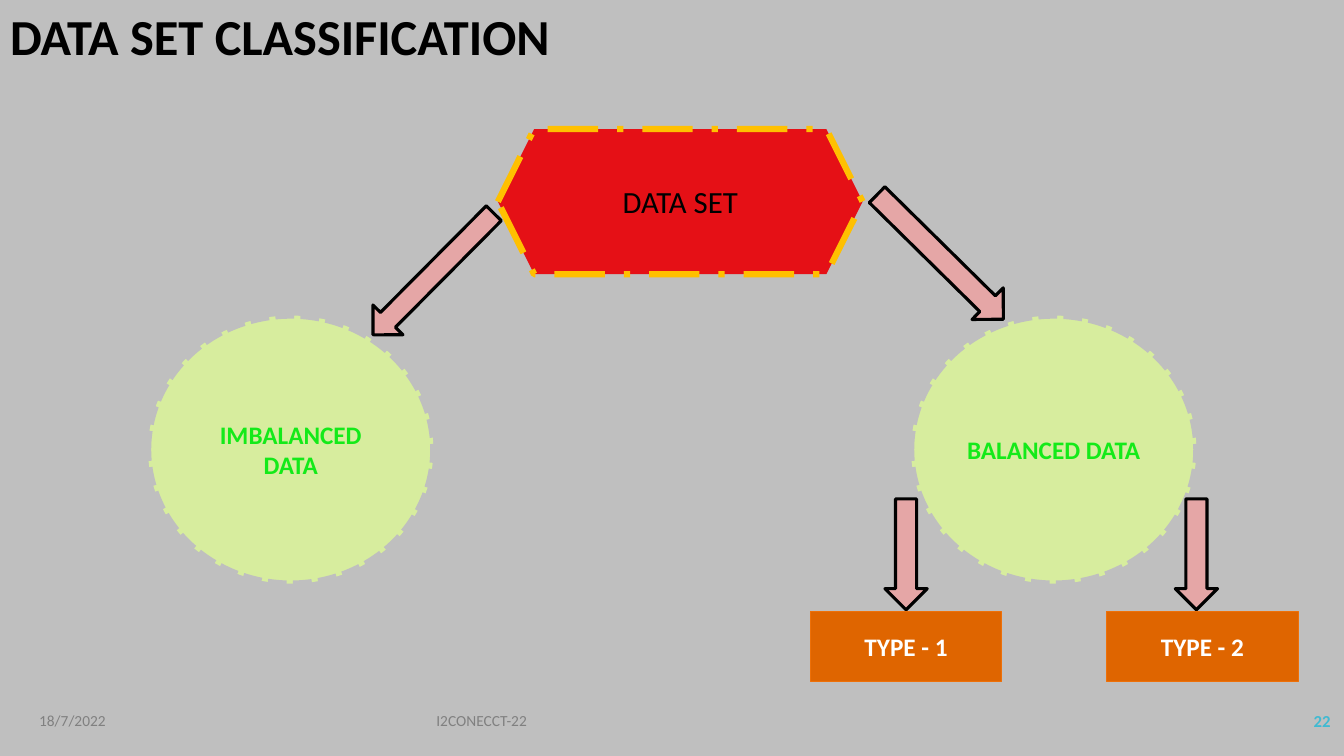
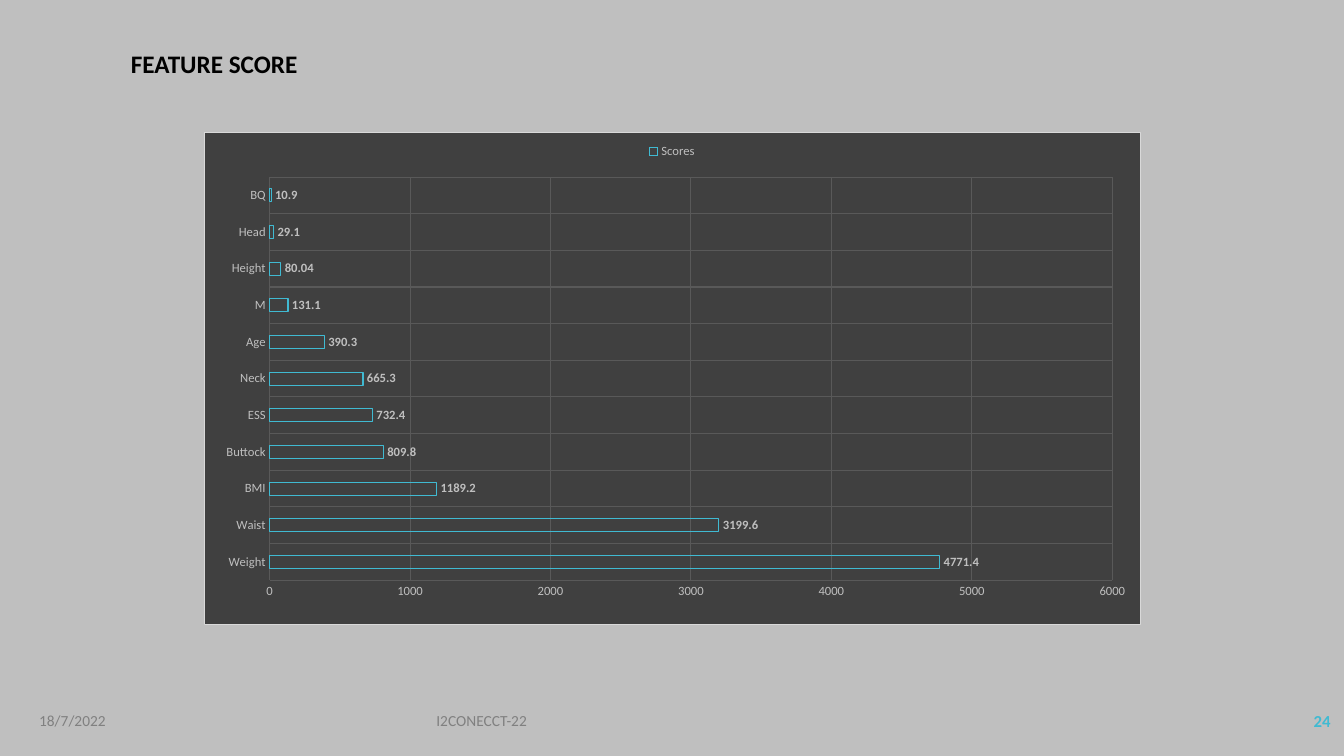
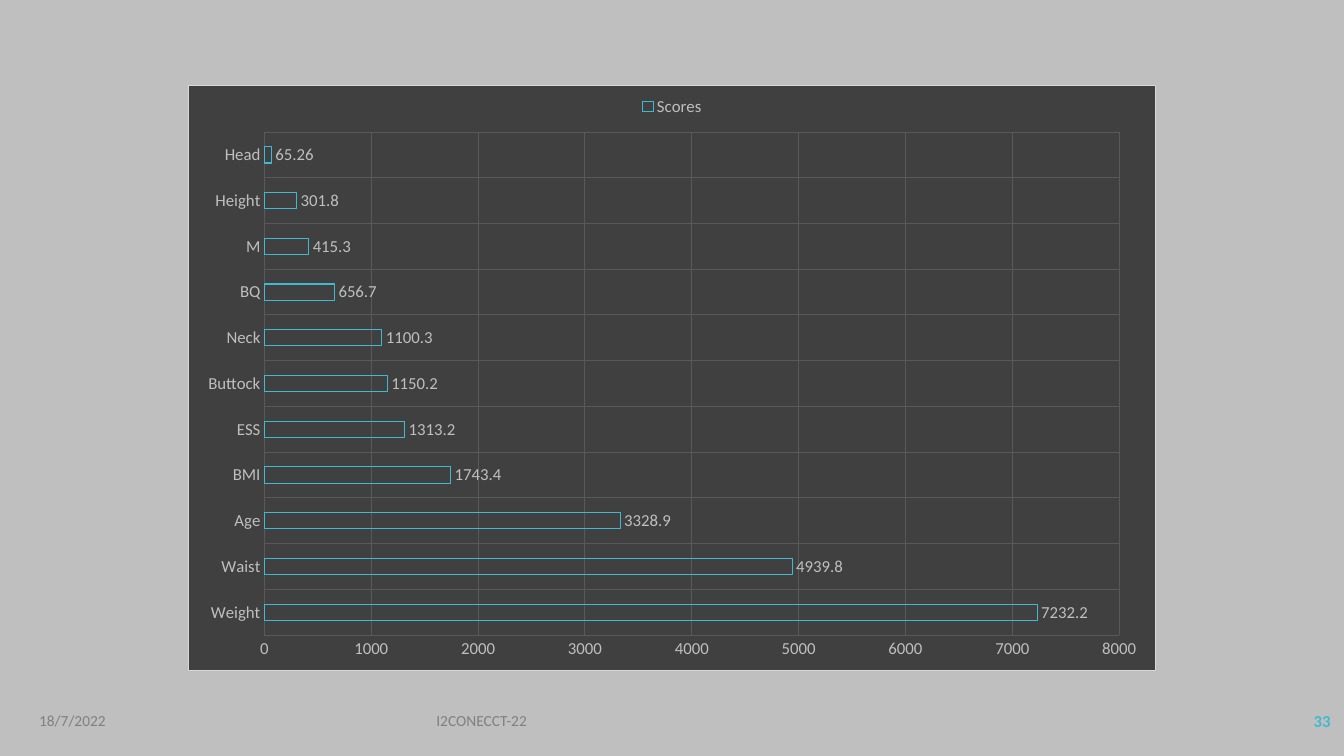
from lxml import etree
from pptx import Presentation
from pptx.chart.data import CategoryChartData
from pptx.dml.color import RGBColor
from pptx.enum.chart import XL_CHART_TYPE, XL_LABEL_POSITION, XL_LEGEND_POSITION, XL_TICK_MARK
from pptx.enum.dml import MSO_LINE
from pptx.enum.shapes import MSO_SHAPE
from pptx.enum.text import MSO_ANCHOR, MSO_AUTO_SIZE, PP_ALIGN
from pptx.oxml import parse_xml
from pptx.oxml.ns import nsdecls, qn
from pptx.util import Pt

BAR = XL_CHART_TYPE.BAR_CLUSTERED
OUTSIDE_END = XL_LABEL_POSITION.OUTSIDE_END
LEGEND_TOP = XL_LEGEND_POSITION.TOP
NO_TICK = XL_TICK_MARK.NONE
LONG_DASH_DOT, SQUARE_DOT = MSO_LINE.LONG_DASH_DOT, MSO_LINE.SQUARE_DOT
HEXAGON, ELLIPSE = MSO_SHAPE.HEXAGON, MSO_SHAPE.OVAL
RECT, ARROW = MSO_SHAPE.RECTANGLE, MSO_SHAPE.DOWN_ARROW
TOP, MIDDLE = MSO_ANCHOR.TOP, MSO_ANCHOR.MIDDLE
LEFT, CENTER, RIGHT = PP_ALIGN.LEFT, PP_ALIGN.CENTER, PP_ALIGN.RIGHT
NO_AUTOFIT = MSO_AUTO_SIZE.NONE

FONT = "Calibri"
COLORS = {
    "background": "BFBFBF", "black": "000000", "white": "FFFFFF",
    "footer": "808080", "accent": "40BAD2",
    "red": "E51016", "gold": "FFC000", "pink": "E5A6A6",
    "lime": "D7ED9E", "green": "14EA19",
    "orange": "DF6500", "orange_edge": "EE7008",
    "panel": "404040", "panel_edge": "D9D9D9",
    "grid": "595959", "chart_text": "BFBFBF",
}
TITLE_ONLY, BLANK = 5, 6


def rgb(name):
    return RGBColor.from_string(COLORS[name])


def set_font(font, size, color, bold=False):
    font.name, font.size, font.bold = FONT, Pt(size), bold
    font.color.rgb = rgb(color)


def set_line(line, color, width):
    line.color.rgb = rgb(color)
    line.width = Pt(width)


def write(sp, text, size, color, bold=False, align=CENTER, anchor=MIDDLE):
    tf = sp.text_frame
    tf.word_wrap = True
    tf.auto_size = NO_AUTOFIT
    tf.vertical_anchor = anchor
    p = tf.paragraphs[0]
    p.text = text
    p.alignment = align
    set_font(p.font, size, color, bold)


# Parts shared by the slides
def add_footer(slide, number):
    for x, w, text, size, color, bold, align in (
        (20.9, 216, "18/7/2022", 11, "footer", False, LEFT),
        (304.6, 465, "I2CONECCT-22", 11, "footer", False, LEFT),
        (837.4, 120.2, str(number), 12, "accent", True, RIGHT),
    ):
        sp = slide.shapes.add_textbox(Pt(x), Pt(500.4), Pt(w), Pt(28.8))
        write(sp, text, size, color, bold, align)


def add_slide(prs, layout, number):
    slide = prs.slides.add_slide(prs.slide_layouts[layout])
    add_footer(slide, number)
    return slide


def set_title(slide, text, box, size, align):
    sp = slide.shapes.title
    sp.left, sp.top, sp.width, sp.height = map(Pt, box)
    write(sp, text, size, "black", True, align, TOP)


# Classification diagram
def add_block(slide, kind, box, fill, edge, width, dash=None):
    sp = slide.shapes.add_shape(kind, *map(Pt, box))
    sp.shadow.inherit = False
    sp.fill.solid()
    sp.fill.fore_color.rgb = rgb(fill)
    set_line(sp.line, edge, width)
    if dash:
        sp.line.dash_style = dash
    return sp


def add_arrow(slide, box, rotation=0):
    sp = add_block(slide, ARROW, box, "pink", "black", 2.25)
    sp.rotation = rotation


def add_diagram(slide, x, y):
    root = add_block(slide, HEXAGON, (x + 249.8, y, 260.6, 103.7),
                     "red", "gold", 4.5, LONG_DASH_DOT)
    write(root, "DATA SET", 22, "black")

    add_arrow(slide, (x + 188.7, y + 42.4, 30.2, 122.4), 44.8)
    for i, text in enumerate(("IMBALANCED DATA", "BALANCED DATA")):
        sp = add_block(slide, ELLIPSE, (x + 545 * i, y + 133.2, 203.8, 191.5),
                       "lime", "background", 4.5, SQUARE_DOT)
        write(sp, text, 18, "green", True)
    add_arrow(slide, (x + 550, y + 28, 31.7, 126.7), 314.6)

    for i in range(2):
        sp = add_block(slide, RECT, (x + 473 + 211.7 * i, y + 344.8, 136.8, 49.7),
                       "orange", "orange_edge", 0.75)
        write(sp, f"TYPE - {i + 1}", 18, "white", True)
        add_arrow(slide, (x + 526.3 + 207.4 * i, y + 264.2, 30.2, 79.2))


# Score chart
def style_axis(axis, size):
    axis.major_tick_mark = axis.minor_tick_mark = NO_TICK
    axis.format.line.fill.background()
    axis.has_major_gridlines = True
    set_line(axis.major_gridlines.format.line, "grid", 0.75)
    set_font(axis.tick_labels.font, size, "chart_text")


def fill_panel(chart):
    sp_pr = parse_xml(
        f'<c:spPr {nsdecls("c", "a")}>'
        f'<a:solidFill><a:srgbClr val="{COLORS["panel"]}"/></a:solidFill>'
        f'<a:ln w="9525"><a:solidFill><a:srgbClr val="{COLORS["panel_edge"]}"/>'
        '</a:solidFill></a:ln></c:spPr>')
    chart.element.find(qn("c:txPr")).addprevious(sp_pr)


def place_plot(chart, plot_box):
    area = chart.element.find(".//" + qn("c:plotArea"))
    for old in area.findall(qn("c:layout")):
        area.remove(old)
    layout = etree.Element(qn("c:layout"))
    manual = etree.SubElement(layout, qn("c:manualLayout"))
    settings = [("layoutTarget", "inner"), ("xMode", "edge"), ("yMode", "edge")]
    for tag, value in settings + list(zip("xywh", plot_box)):
        etree.SubElement(manual, qn("c:" + tag)).set("val", str(value))
    area.insert(0, layout)


def add_score_chart(slide, box, scores, maximum, size, bold=False, plot_box=None):
    data = CategoryChartData()
    data.categories = list(scores)
    data.add_series("Scores", list(scores.values()))
    chart = slide.shapes.add_chart(BAR, *map(Pt, box), data).chart
    set_font(chart.font, 10, "black")
    chart.has_title = False
    fill_panel(chart)
    if plot_box:
        place_plot(chart, plot_box)

    chart.has_legend = True
    chart.legend.position = LEGEND_TOP
    chart.legend.include_in_layout = False
    set_font(chart.legend.font, size, "chart_text")

    for axis in (chart.category_axis, chart.value_axis):
        style_axis(axis, size)
    chart.value_axis.minimum_scale = 0
    chart.value_axis.maximum_scale = maximum
    chart.value_axis.major_unit = 1000

    plot = chart.plots[0]
    plot.gap_width, plot.overlap = 182, -50
    plot.vary_by_categories = False
    series = plot.series[0]
    series.invert_if_negative = False
    series.format.fill.background()
    set_line(series.format.line, "accent", 0.75)
    labels = series.data_labels
    labels.show_value = True
    labels.position = OUTSIDE_END
    set_font(labels.font, size, "chart_text", bold)


def main():
    prs = Presentation()
    prs.slide_width, prs.slide_height = Pt(960), Pt(540)
    fill = prs.slide_master.background.fill
    fill.solid()
    fill.fore_color.rgb = rgb("background")

    slide = add_slide(prs, TITLE_ONLY, 22)
    set_title(slide, "DATA SET CLASSIFICATION", (0, 0, 480, 51), 36, LEFT)
    add_diagram(slide, 105.8, 92.2)

    slide = add_slide(prs, TITLE_ONLY, 24)
    set_title(slide, "FEATURE SCORE", (28, 31, 250, 29), 18, CENTER)
    scores = {"Weight": 4771.4, "Waist": 3199.6, "BMI": 1189.2, "Buttock": 809.8,
              "ESS": 732.4, "Neck": 665.3, "Age": 390.3, "M": 131.1,
              "Height": 80.04, "Head": 29.1, "BQ": 10.9}
    add_score_chart(slide, (145.4, 94.5, 669.6, 352), scores, 6000, 9, True,
                    (0.07, 0.09, 0.9, 0.82))

    slide = add_slide(prs, BLANK, 33)
    scores = {"Weight": 7232.2, "Waist": 4939.8, "Age": 3328.9, "BMI": 1743.4,
              "ESS": 1313.2, "Buttock": 1150.2, "Neck": 1100.3, "BQ": 656.7,
              "M": 415.3, "Height": 301.8, "Head": 65.26}
    add_score_chart(slide, (134.6, 60.5, 691.2, 419), scores, 8000, 12)

    prs.save("out.pptx")


if __name__ == "__main__":
    main()
